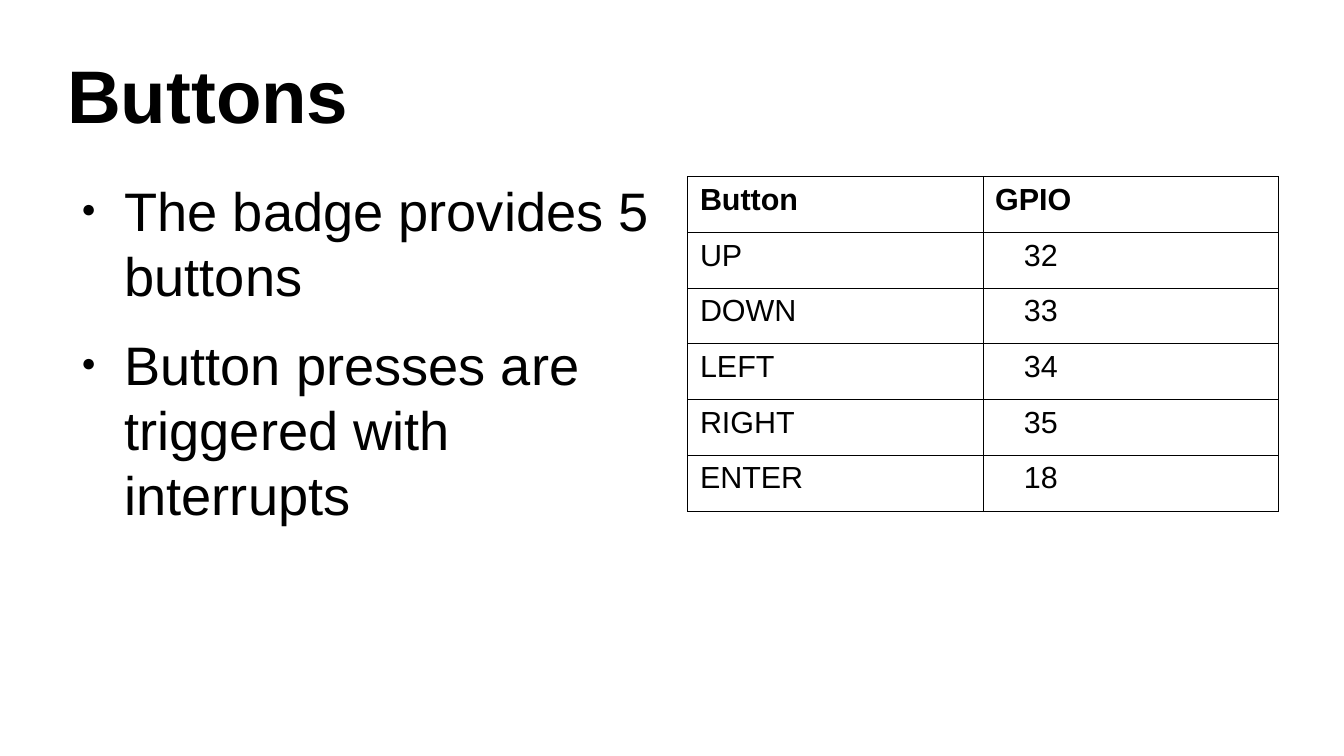
"""Build the Buttons slide with two bullet points and a GPIO table."""
import pptx
import pptx.dml.color
import pptx.enum.text
import pptx.oxml
import pptx.oxml.ns
import pptx.util

Pt = pptx.util.Pt
BLACK = pptx.dml.color.RGBColor(0, 0, 0)
FONT = "Arial"
NAMESPACE = pptx.oxml.ns.nsdecls("a")
LEFT = Pt(39.6)
CONTENT_TOP = Pt(104.4)
COLUMN_WIDTH = Pt(348.5)


def write(paragraph, text, size, bold=False, indent=0, hanging=0):
    run = paragraph.add_run()
    run.text = text
    run.font.name = FONT
    run.font.size = Pt(size)
    run.font.bold = bold
    run.font.color.rgb = BLACK
    properties = paragraph._p.get_or_add_pPr()
    properties.set("marL", str(Pt(indent)))
    properties.set("indent", str(Pt(-hanging)))


def add_text_frame(left, top, width, height):
    frame = slide.shapes.add_textbox(left, top, width, height).text_frame
    frame.word_wrap = True
    frame.margin_left = frame.margin_right = 0
    frame.margin_top = frame.margin_bottom = 0
    return frame


presentation = pptx.Presentation()
presentation.slide_width = Pt(793.5)
presentation.slide_height = Pt(446.4)
slide = presentation.slides.add_slide(presentation.slide_layouts[6])

title = add_text_frame(LEFT, Pt(18), Pt(714.2), Pt(74.9))
title.vertical_anchor = pptx.enum.text.MSO_ANCHOR.MIDDLE
write(title.paragraphs[0], "Buttons", size=44, bold=True)

body = add_text_frame(LEFT, CONTENT_TOP, COLUMN_WIDTH, Pt(320.4))
points = ["The badge provides 5 buttons", "Button presses are triggered with interrupts"]
for index, point in enumerate(points):
    paragraph = body.add_paragraph() if index else body.paragraphs[0]
    write(paragraph, point, size=32, indent=34, hanging=25.5)
    paragraph.space_before = Pt(14.2)
    properties = paragraph._p.get_or_add_pPr()
    for bullet in (
        f'<a:buClr {NAMESPACE}><a:srgbClr val="{BLACK}"/></a:buClr>',
        f'<a:buSzPct {NAMESPACE} val="45000"/>',
        f'<a:buFont {NAMESPACE} typeface="{FONT}"/>',
        f'<a:buChar {NAMESPACE} char="●"/>',
    ):
        properties.append(pptx.oxml.parse_xml(bullet))

rows = [
    ("Button", "GPIO"),
    ("UP", "32"),
    ("DOWN", "33"),
    ("LEFT", "34"),
    ("RIGHT", "35"),
    ("ENTER", "18"),
]
ROW_HEIGHT = Pt(32.9)
table = slide.shapes.add_table(
    len(rows), 2, Pt(406.1), CONTENT_TOP, COLUMN_WIDTH, ROW_HEIGHT * len(rows)
).table
for row_index, values in enumerate(rows):
    table.rows[row_index].height = ROW_HEIGHT
    for column_index, value in enumerate(values):
        cell = table.cell(row_index, column_index)
        is_header = row_index == 0
        is_number = column_index == 1 and not is_header
        write(
            cell.text_frame.paragraphs[0],
            value,
            size=18,
            bold=is_header,
            indent=17 if is_number else 0,
        )
        cell.margin_left = cell.margin_right = Pt(7.2)
        cell.margin_top = cell.margin_bottom = Pt(3.6)
        cell_properties = cell._tc.get_or_add_tcPr()
        for edge in ("lnL", "lnR", "lnT", "lnB"):
            cell_properties.append(pptx.oxml.parse_xml(
                f'<a:{edge} {NAMESPACE} w="{Pt(0.57)}"><a:solidFill>'
                f'<a:srgbClr val="{BLACK}"/></a:solidFill></a:{edge}>'
            ))
        cell.fill.background()

presentation.save("out.pptx")
